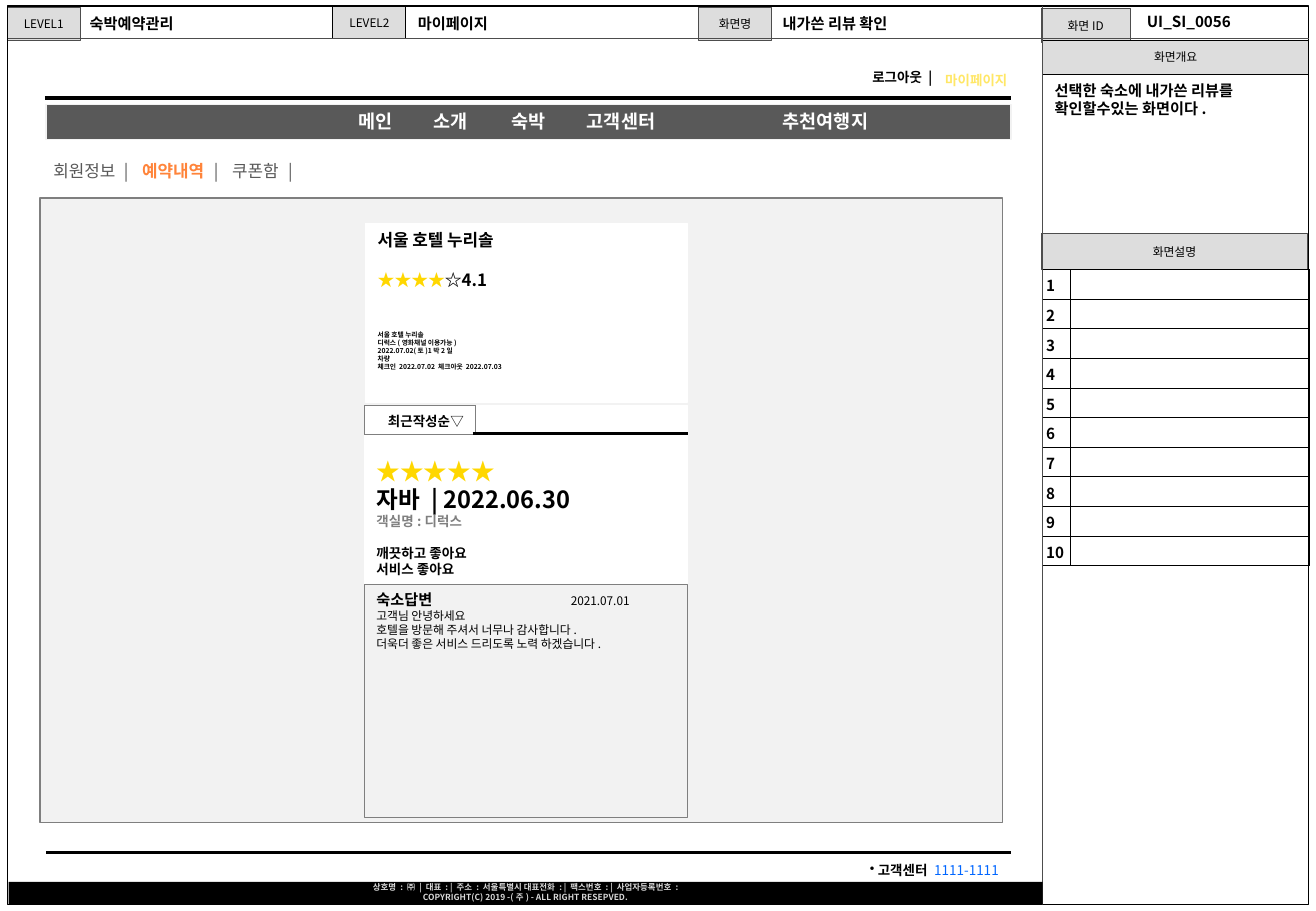
"""Builds the review check screen of a lodging reservation storyboard."""
from dataclasses import dataclass

from lxml import etree
from pptx import Presentation
from pptx.dml.color import RGBColor
from pptx.enum.shapes import MSO_CONNECTOR, MSO_SHAPE
from pptx.enum.text import MSO_ANCHOR, MSO_AUTO_SIZE, PP_ALIGN
from pptx.oxml.ns import qn
from pptx.util import Inches, Pt

RECT, STRAIGHT = MSO_SHAPE.RECTANGLE, MSO_CONNECTOR.STRAIGHT
LEFT, CENTER, RIGHT = PP_ALIGN.LEFT, PP_ALIGN.CENTER, PP_ALIGN.RIGHT
TOP, MIDDLE = MSO_ANCHOR.TOP, MSO_ANCHOR.MIDDLE
NO_FIT = MSO_AUTO_SIZE.NONE


@dataclass(frozen=True)
class Theme:
    font: str = "Noto Sans CJK KR"
    leading: float = 1.2
    black: str = "000000"
    white: str = "FFFFFF"
    label: str = "DDDDDD"
    panel: str = "F2F2F2"
    bar: str = "595959"
    edge: str = "7F7F7F"
    rule: str = "4D4D4D"
    gold: str = "FFD700"

    def style(self, name):
        return {
            "label": (7, self.black, False), "value": (9, self.black, True),
            "menu": (11, self.white, True), "tab": (10, self.bar, False),
            "tab_on": (10, "FF843A", True), "link": (8, self.black, True),
            "link_on": (8, "FFE766", True), "phone": (8, "0066FF", False),
            "arrow": (8, self.black, False), "legal": (5, "D8D8D8", True),
            "hotel": (10, self.black, True), "stars": (10, self.gold, True),
            "detail": (4, self.black, True), "rating": (14, self.gold, True),
            "writer": (14, self.black, True), "room": (8, "808080", True),
        }[name]


THEME = Theme()

LABELS = [
    ("LEVEL1", 0.06, 0.06, 0.6, 0.27, THEME.rule),
    ("LEVEL2", 2.74, 0.05, 0.6, 0.27, THEME.black),
    ("화면명", 5.75, 0.06, 0.6, 0.27, THEME.rule),
    ("화면ID", 8.57, 0.07, 0.73, 0.28, THEME.rule),
    ("화면개요", 8.58, 0.33, 2.19, 0.28, THEME.black),
    ("화면설명", 8.57, 1.92, 2.19, 0.3, THEME.rule),
]
VALUES = [("숙박예약관리", 0.64, 0.07), ("마이페이지", 3.34, 0.07), ("UI_SI_0056", 9.34, 0.05)]
SCREEN_NAME = "내가쓴 리뷰 확인"
OVERVIEW = "선택한 숙소에 내가쓴 리뷰를 확인할수있는 화면이다."
RULES = [
    (8.58, 0.05, 8.58, 7.45, THEME.rule, 0.75),
    (0.07, 0.32, 10.77, 0.32, THEME.rule, 0.5),
    (0.37, 0.81, 8.32, 0.81, THEME.black, 2.25),
    (0.38, 7.02, 8.32, 7.02, THEME.black, 2),
]
MENU = [("메인", 2.95), ("소개", 3.57), ("숙박", 4.21), ("고객센터", 4.83), ("추천여행지", 6.44)]
LOGIN = [("로그아웃 |", "link", 7.08, 0.52), ("마이페이지", "link_on", 7.68, 0.54)]
TABS = [
    ("회원정보", "tab", 0.44), ("|", "tab", 1.02), ("예약내역", "tab_on", 1.17),
    ("|", "tab", 1.76), ("쿠폰함", "tab", 1.91), ("|", "tab", 2.37),
]
HOTEL = [
    {"runs": [("서울 호텔 누리솔", "hotel")]},
    {"runs": [("★★★★", "stars"), ("☆4.1", "hotel")], "before": 12},
    {"runs": [("서울 호텔 누리솔", "detail")], "before": 24},
    {"runs": [("디럭스(영화채널 이용가능)", "detail")]},
    {"runs": [("2022.07.02(토)1박2일", "detail")]},
    {"runs": [("차량", "detail")]},
    {"runs": [("체크인 2022.07.02 체크아웃 2022.07.03", "detail")]},
]
REVIEW = [
    {"runs": [("★★★★★", "rating")]},
    {"runs": [("자바 | 2022.06.30", "writer")]},
    {"runs": [("객실명:디럭스", "room")]},
    {"runs": [("깨끗하고 좋아요", "link")], "before": 9},
    {"runs": [("서비스 좋아요", "link")]},
]
REPLY = [
    {"runs": [("숙소답변", "value")]},
    {"runs": [("고객님 안녕하세요", "label")]},
    {"runs": [("호텔을 방문해 주셔서 너무나 감사합니다.", "label")]},
    {"runs": [("더욱더 좋은 서비스 드리도록 노력 하겠습니다.", "label")]},
]
REPLY_DATE = "2021.07.01"
SORT = {"runs": [("최근작성순", "link"), ("▽", "arrow")], "align": CENTER}
SUPPORT = {"runs": [(" 고객센터 ", "link"), ("1111-1111", "phone")], "align": RIGHT, "bullet": "•"}
LEGAL = [
    "상호명 : ㈜ | 대표 : | 주소 : 서울특별시 대표전화 : | 팩스번호 : | 사업자등록번호 :",
    "COPYRIGHT(C) 2019 -(주) - ALL RIGHT RESEPVED.",
]
NOTE_COUNT = 10


def rgb(color):
    return RGBColor.from_string(color)


def sub(parent, tag, **attrs):
    return etree.SubElement(parent, qn(tag), attrs)


def fill_paragraph(p, runs, align=LEFT, before=0, bullet=None):
    p.alignment = align
    p.space_before = Pt(before)
    p.line_spacing = Pt(THEME.leading * max(THEME.style(name)[0] for _, name in runs))
    pPr = p._p.get_or_add_pPr()
    pPr.set("marL", "0")
    pPr.set("indent", "0")
    if bullet:
        sub(sub(pPr, "a:buClr"), "a:srgbClr", val=THEME.black)
        sub(pPr, "a:buChar", char=bullet)
    else:
        sub(pPr, "a:buNone")
    for text, name in runs:
        r = p.add_run()
        r.text = text
        size, color, r.font.bold = THEME.style(name)
        r.font.size = Pt(size)
        r.font.color.rgb = rgb(color)
        r.font.name = THEME.font
        sub(r._r.get_or_add_rPr(), "a:ea", typeface=THEME.font)


def write(tf, paragraphs, anchor=TOP, insets=(0.1, 0.05, 0.1, 0.05)):
    tf.word_wrap, tf.auto_size, tf.vertical_anchor = True, NO_FIT, anchor
    tf.margin_left, tf.margin_top, tf.margin_right, tf.margin_bottom = map(Inches, insets)
    for i, paragraph in enumerate(paragraphs):
        fill_paragraph(tf.add_paragraph() if i else tf.paragraphs[0], **paragraph)


def place(sp, *box):
    sp.left, sp.top, sp.width, sp.height = map(Inches, box)


def add_box(s, box, fill=None, line=None, width=0.75):
    sp = s.shapes.add_shape(RECT, *map(Inches, box))
    sp.shadow.inherit = False
    if fill:
        sp.fill.solid()
        sp.fill.fore_color.rgb = rgb(fill)
    else:
        sp.fill.background()
    if line:
        sp.line.color.rgb = rgb(line)
        sp.line.width = Pt(width)
    else:
        sp.line.fill.background()
    return sp


def add_text(s, box, paragraphs, **layout):
    write(s.shapes.add_textbox(*map(Inches, box)).text_frame, paragraphs, **layout)


def add_rule(s, x1, y1, x2, y2, color, width):
    line = s.shapes.add_connector(STRAIGHT, *map(Inches, (x1, y1, x2, y2)))
    line.line.color.rgb = rgb(color)
    line.line.width = Pt(width)
    sub(line._element.spPr, "a:effectLst")


def add_grid(s, box, rows, widths):
    table = s.shapes.add_table(rows, len(widths), *map(Inches, box)).table
    table.first_row = table.horz_banding = False
    for column, width in zip(table.columns, widths):
        column.width = Inches(width)
    for row in table.rows:
        row.height = Inches(box[3] / rows)
    return table


def set_borders(cell, color, sides="LRTB"):
    tcPr = cell._tc.get_or_add_tcPr()
    for i, side in enumerate("LRTB"):
        ln = etree.Element(qn(f"a:ln{side}"), w=str(Pt(0.75)))
        if side in sides:
            sub(sub(ln, "a:solidFill"), "a:srgbClr", val=color)
        else:
            sub(ln, "a:noFill")
        tcPr.insert(i, ln)


def set_cell_margins(cell, *insets):
    cell.margin_left, cell.margin_top, cell.margin_right, cell.margin_bottom = map(Inches, insets)


def add_header(s):
    title, overview = s.placeholders
    place(title, 6.34, 0.07, 1.52, 0.25)
    write(title.text_frame, [{"runs": [(SCREEN_NAME, "value")]}])
    place(overview, 8.58, 0.62, 2.2, 0.39)
    write(overview.text_frame, [{"runs": [(OVERVIEW, "value")]}], insets=(0.1, 0.05, 0.58, 0.05))
    for text, *box, line in LABELS:
        sp = add_box(s, box, THEME.label, line, 0.5)
        write(sp.text_frame, [{"runs": [(text, "label")], "align": CENTER}], anchor=MIDDLE)
    for text, x, y in VALUES:
        add_text(s, (x, y, 1.4, 0.25), [{"runs": [(text, "value")]}])
    add_box(s, (0.06, 0.05, 10.71, 7.4), line=THEME.black)
    for rule in RULES:
        add_rule(s, *rule)


def add_site_frame(s):
    for text, name, x, y in LOGIN:
        add_text(s, (x, y, 0.81, 0.24), [{"runs": [(text, name)]}])
    add_box(s, (0.38, 0.86, 7.94, 0.29), THEME.bar, THEME.panel)
    for text, x in MENU:
        add_text(s, (x, 0.86, 1, 0.29), [{"runs": [(text, "menu")]}], insets=(0, 0.05, 0, 0.05))
    for text, name, x in TABS:
        width = 0.15 * len(text)
        add_text(s, (x, 1.27, width, 0.3), [{"runs": [(text, name)]}], insets=(0, 0.05, 0, 0.05))
    add_text(s, (6.95, 7.05, 1.37, 0.24), [SUPPORT])
    footer = add_box(s, (0.07, 7.26, 8.51, 0.19), THEME.black)
    write(footer.text_frame, [{"runs": [(text, "legal")], "align": CENTER} for text in LEGAL],
          insets=(0.1, 0, 0.1, 0))


def add_reviews(s):
    add_box(s, (0.33, 1.63, 7.92, 5.14), THEME.panel, THEME.edge)
    hotel = add_box(s, (3.01, 1.84, 2.65, 1.47), THEME.white, THEME.white)
    write(hotel.text_frame, HOTEL)
    review = add_box(s, (3, 3.34, 2.66, 3.39), THEME.white, THEME.white)
    write(review.text_frame, REVIEW, insets=(0.1, 0.42, 0.1, 0.05))
    cell = add_grid(s, (3, 3.34, 0.91, 0.24), 1, [0.91]).cell(0, 0)
    cell.fill.solid()
    cell.fill.fore_color.rgb = rgb(THEME.white)
    cell.vertical_anchor = MIDDLE
    set_cell_margins(cell, 0.1, 0.07, 0, 0.03)
    fill_paragraph(cell.text_frame.paragraphs[0], **SORT)
    set_borders(cell, THEME.edge)
    add_rule(s, 3.89, 3.57, 5.66, 3.57, THEME.black, 2)
    reply = add_box(s, (3, 4.81, 2.66, 1.92), THEME.panel, THEME.edge)
    write(reply.text_frame, REPLY)
    add_text(s, (4.6, 4.84, 0.9, 0.22), [{"runs": [(REPLY_DATE, "label")]}])


def add_notes_table(s):
    table = add_grid(s, (8.58, 2.22, 2.2, 2.44), NOTE_COUNT, [0.23, 1.97])
    for i in range(NOTE_COUNT):
        number, note = table.cell(i, 0), table.cell(i, 1)
        fill_paragraph(number.text_frame.paragraphs[0], [(str(i + 1), "value")])
        sub(note.text_frame.paragraphs[0]._p, "a:endParaRPr", sz="900")
        for cell, sides in ((number, "RTB"), (note, "LRTB")):
            cell.fill.background()
            set_cell_margins(cell, 0.03, 0.07, 0.03, 0.02)
            set_borders(cell, THEME.black, sides)


def main():
    prs = Presentation()
    prs.slide_width, prs.slide_height = Inches(10.83), Inches(7.5)
    s = prs.slides.add_slide(prs.slide_layouts[1])
    add_header(s)
    add_site_frame(s)
    add_reviews(s)
    add_notes_table(s)
    prs.save("out.pptx")


if __name__ == "__main__":
    main()
